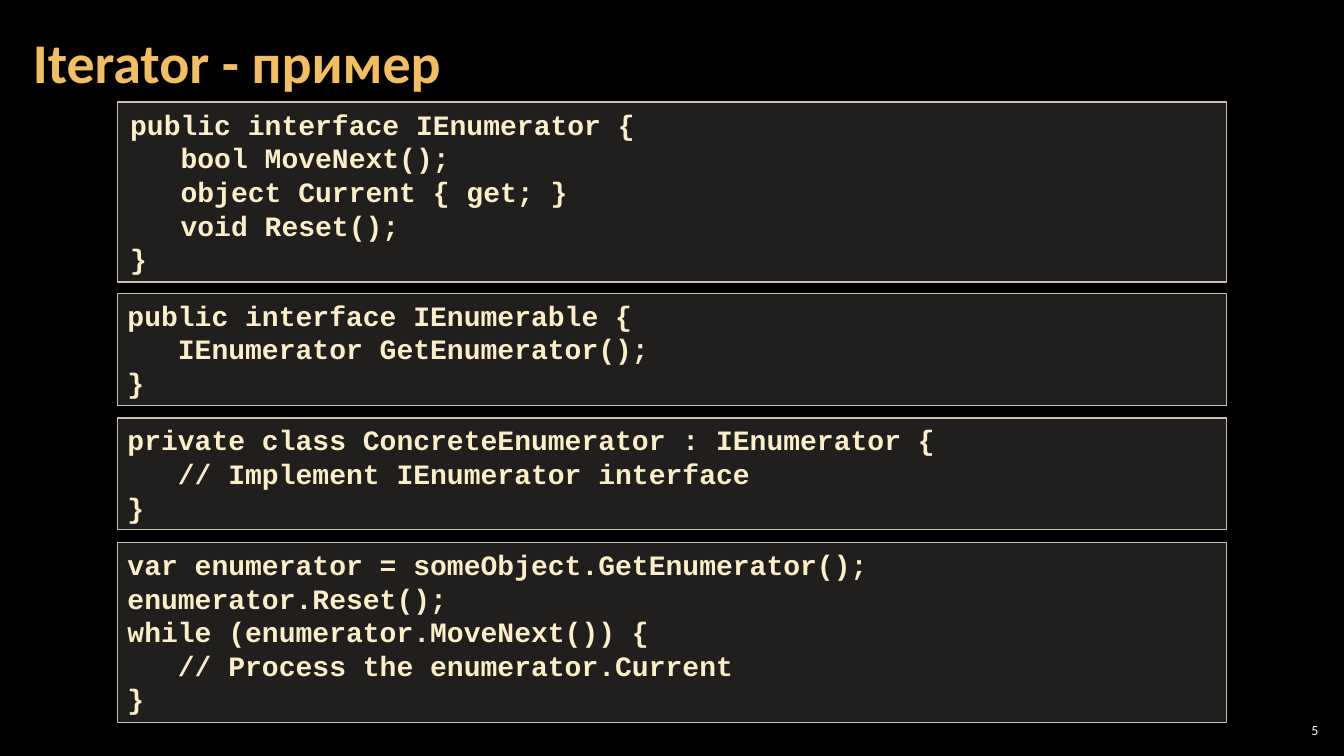
from dataclasses import dataclass

from lxml.etree import SubElement
from pptx import Presentation
from pptx.dml.color import RGBColor
from pptx.enum.shapes import MSO_SHAPE
from pptx.enum.text import MSO_ANCHOR, PP_ALIGN
from pptx.oxml.ns import qn
from pptx.util import Pt


@dataclass(frozen=True)
class Theme:
    background: RGBColor = RGBColor.from_string("000000")
    heading: RGBColor = RGBColor.from_string("F3BE60")
    code: RGBColor = RGBColor.from_string("FBEEC9")
    panel: RGBColor = RGBColor.from_string("D9D5C7")
    border: RGBColor = RGBColor.from_string("C7BFAC")
    number: RGBColor = RGBColor.from_string("FFFFFF")
    panel_opacity: int = 15
    heading_size: int = 40
    code_size: int = 20
    number_size: int = 10
    text_face: str = "Calibri"
    code_face: str = "Courier New"


THEME = Theme()

PANEL_LEFT, PANEL_WIDTH = 84, 792

PANELS = [
    (73, 128.5, 9, """public interface IEnumerator {
   bool MoveNext();
   object Current { get; }
   void Reset();
}"""),
    (209.5, 80, 7.2, """public interface IEnumerable {
   IEnumerator GetEnumerator();
}"""),
    (298.5, 80, 7.2, """private class ConcreteEnumerator : IEnumerator {
   // Implement IEnumerator interface
}"""),
    (387.5, 128.5, 7.2, """var enumerator = someObject.GetEnumerator();
enumerator.Reset();
while (enumerator.MoveNext()) {
   // Process the enumerator.Current
}"""),
]


def apply(target, formats):
    for attribute, value in formats.items():
        setattr(target, attribute, value)


def write(frame, text, side_inset, anchor, color, paragraph_format, font_format):
    apply(frame, {
        "word_wrap": True,
        "vertical_anchor": anchor,
        "margin_left": Pt(side_inset),
        "margin_right": Pt(side_inset),
        "margin_top": Pt(3.6),
        "margin_bottom": Pt(3.6),
    })
    frame.text = text
    for line in frame.paragraphs:
        apply(line, paragraph_format)
        for run in line.runs:
            apply(run.font, font_format)
            run.font.color.rgb = color


def add_label(slide, bounds, text, side_inset, color, paragraph_format, font_format):
    label = slide.shapes.add_textbox(*map(Pt, bounds))
    write(label.text_frame, text, side_inset, MSO_ANCHOR.MIDDLE, color,
          paragraph_format, {"name": THEME.text_face, **font_format})


def add_code_panel(slide, top, height, side_inset, code):
    panel = slide.shapes.add_shape(
        MSO_SHAPE.RECTANGLE, Pt(PANEL_LEFT), Pt(top), Pt(PANEL_WIDTH), Pt(height))
    panel.shadow.inherit = False
    panel.fill.solid()
    panel.fill.fore_color.rgb = THEME.panel
    tint = panel.fill._xPr.find(qn("a:solidFill"))[0]
    SubElement(tint, qn("a:alpha"), val=str(THEME.panel_opacity * 1000))
    panel.line.color.rgb = THEME.border
    panel.line.width = Pt(1)
    write(panel.text_frame, code, side_inset, MSO_ANCHOR.TOP, THEME.code,
          {"alignment": PP_ALIGN.LEFT},
          {"name": THEME.code_face, "size": Pt(THEME.code_size), "bold": True})


def main():
    deck = Presentation()
    apply(deck, {"slide_width": Pt(960), "slide_height": Pt(540)})
    slide = deck.slides.add_slide(deck.slide_layouts[6])
    slide.background.fill.solid()
    slide.background.fill.fore_color.rgb = THEME.background

    add_label(slide, (911, 514, 33.75, 15), "5", 3, THEME.number,
              {"alignment": PP_ALIGN.RIGHT}, {"size": Pt(THEME.number_size)})
    add_label(slide, (14.5, 3, 753.75, 87), "Iterator - пример", 9, THEME.heading,
              {"line_spacing": 0.9}, {"size": Pt(THEME.heading_size), "bold": True})
    for panel in PANELS:
        add_code_panel(slide, *panel)

    deck.save("out.pptx")


if __name__ == "__main__":
    main()
